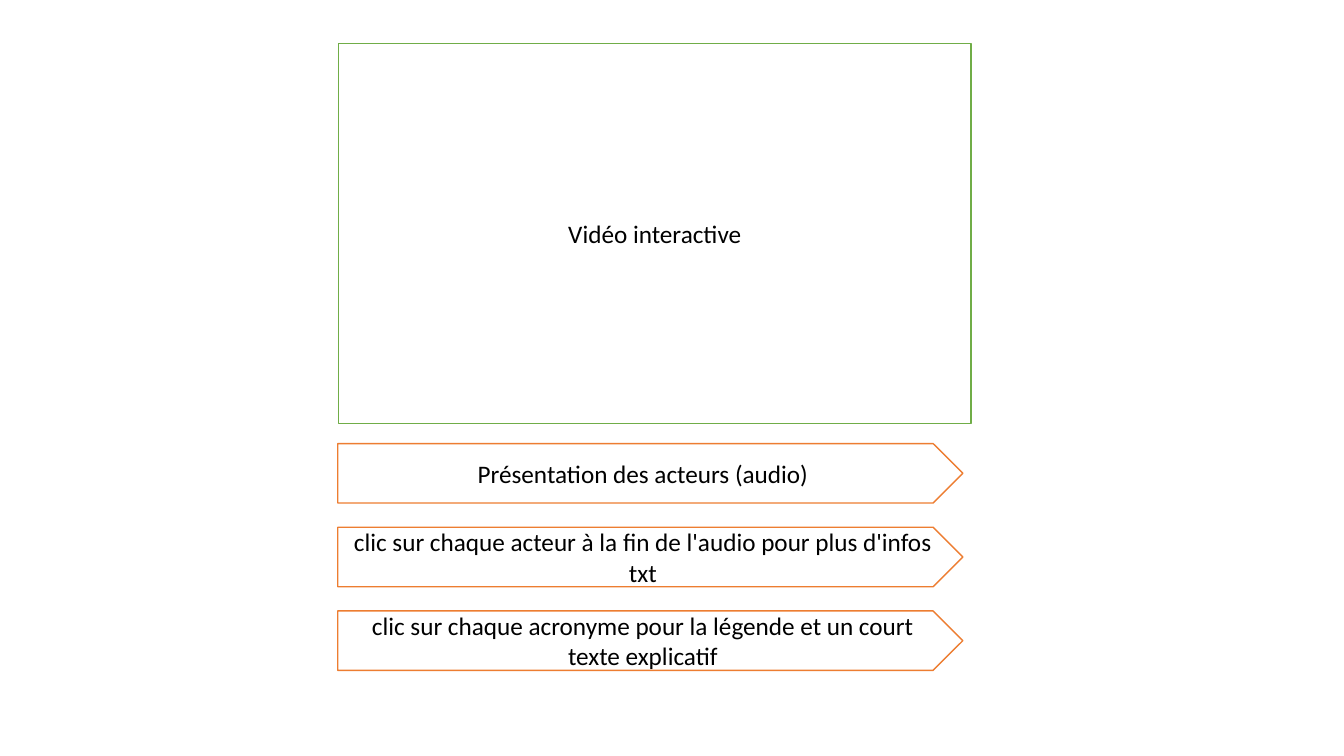
import dataclasses

import pptx
import pptx.dml.color
import pptx.enum.shapes
import pptx.enum.text
import pptx.util


@dataclasses.dataclass(frozen=True)
class Theme:
    font: str = "Calibri"
    text_size: int = 18
    line_width: int = 1
    text: str = "000000"
    fill: str = "FFFFFF"
    video: str = "70AD47"
    step: str = "ED7D31"


class Storyboard:
    def __init__(self, presentation, theme):
        self.theme = theme
        self.width = presentation.slide_width
        self.height = presentation.slide_height
        self.slide = presentation.slides.add_slide(presentation.slide_layouts[6])

    def outlined_shape(self, kind, text, line_color, left, top, width, height):
        color = pptx.dml.color.RGBColor.from_string
        shape = self.slide.shapes.add_shape(
            kind,
            round(self.width * left / 100),
            round(self.height * top / 100),
            round(self.width * width / 100),
            round(self.height * height / 100),
        )
        shape.shadow.inherit = False
        shape.fill.solid()
        shape.fill.fore_color.rgb = color(self.theme.fill)
        shape.line.color.rgb = color(line_color)
        shape.line.width = pptx.util.Pt(self.theme.line_width)
        frame = shape.text_frame
        frame.word_wrap = True
        frame.vertical_anchor = pptx.enum.text.MSO_ANCHOR.MIDDLE
        paragraph = frame.paragraphs[0]
        paragraph.text = text
        paragraph.alignment = pptx.enum.text.PP_ALIGN.CENTER
        paragraph.font.name = self.theme.font
        paragraph.font.size = pptx.util.Pt(self.theme.text_size)
        paragraph.font.color.rgb = color(self.theme.text)

    def video(self, text, **box):
        kind = pptx.enum.shapes.MSO_SHAPE.RECTANGLE
        self.outlined_shape(kind, text, self.theme.video, **box)

    def steps(self, texts, top, pitch, **box):
        kind = pptx.enum.shapes.MSO_SHAPE.PENTAGON
        for row, text in enumerate(texts):
            self.outlined_shape(
                kind, text, self.theme.step, top=top + row * pitch, **box
            )


def main():
    presentation = pptx.Presentation()
    presentation.slide_width = pptx.util.Inches(13.33)
    presentation.slide_height = pptx.util.Inches(7.5)
    storyboard = Storyboard(presentation, Theme())
    storyboard.video(
        "Vidéo interactive", left=25.2, top=5.73, width=47.04, height=50.27
    )
    storyboard.steps(
        [
            "Présentation des acteurs (audio)",
            "clic sur chaque acteur à la fin de l'audio pour plus d'infos txt",
            "clic sur chaque acronyme pour la légende et un court texte explicatif",
        ],
        top=58.67,
        pitch=11.07,
        left=25.13,
        width=46.51,
        height=7.87,
    )
    presentation.save("out.pptx")


if __name__ == "__main__":
    main()
